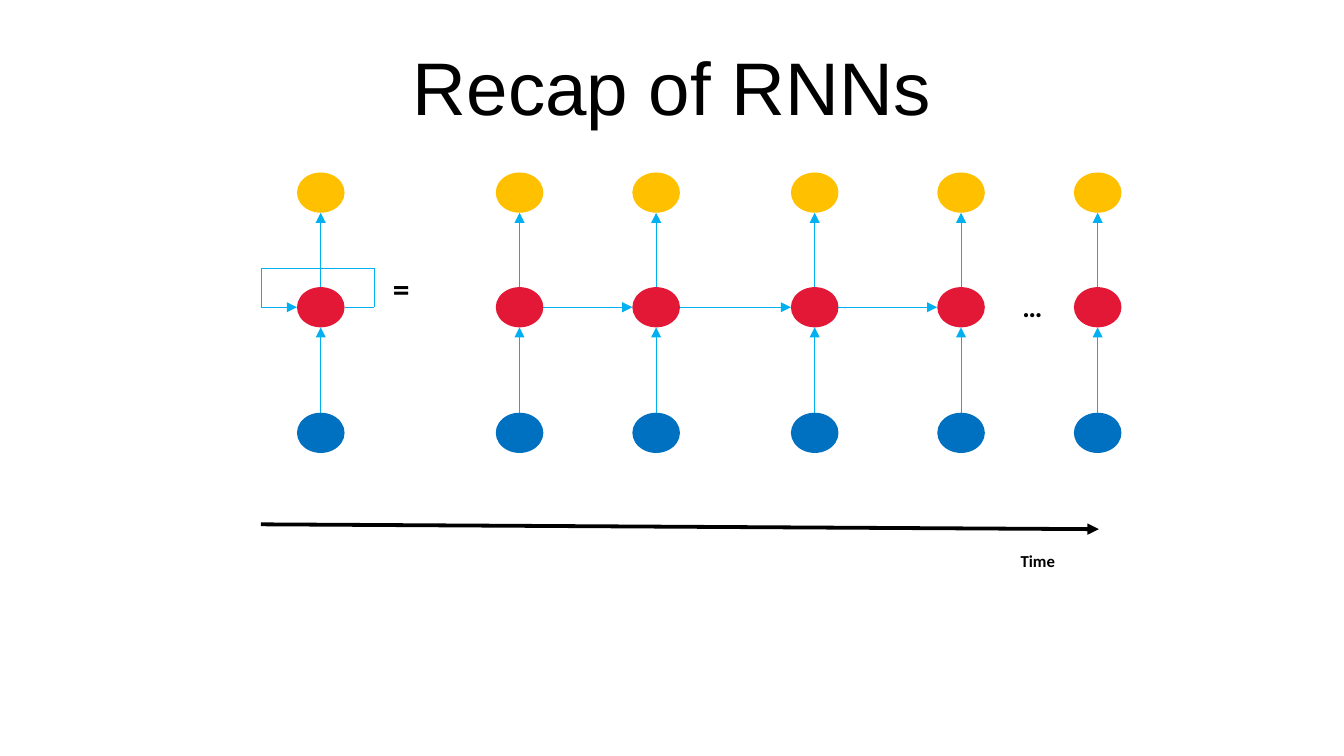
from lxml.etree import SubElement
from pptx import Presentation
from pptx.dml.color import RGBColor
from pptx.enum.shapes import MSO_CONNECTOR, MSO_SHAPE
from pptx.enum.text import MSO_ANCHOR, MSO_AUTO_SIZE, PP_ALIGN
from pptx.oxml.ns import qn
from pptx.util import Inches, Pt

BLACK = RGBColor(0x00, 0x00, 0x00)
BLUE = RGBColor(0x00, 0x70, 0xC0)
RED = RGBColor(0xE3, 0x18, 0x37)
YELLOW = RGBColor(0xFF, 0xC0, 0x00)
CYAN = RGBColor(0x00, 0xB0, 0xF0)

NODE_W, NODE_H = 0.39, 0.33
INPUT_Y, HIDDEN_Y, OUTPUT_Y = 3.55, 2.52, 1.58
FOLDED_X = 2.63
STEPS_X = [4.26, 5.38, 6.68, 7.88, 9]
LOOP_LEFT, LOOP_RIGHT, LOOP_TOP = 2.14, 3.07, 2.2


def add_node(s, x, y, color):
    sp = s.shapes.add_shape(
        MSO_SHAPE.OVAL, Inches(x - NODE_W / 2), Inches(y - NODE_H / 2),
        Inches(NODE_W), Inches(NODE_H))
    sp.shadow.inherit = False
    sp.fill.solid()
    sp.fill.fore_color.rgb = color
    sp.line.fill.background()


def add_line(s, x1, y1, x2, y2, color=CYAN, width=0.5, arrow=True):
    line = s.shapes.add_connector(
        MSO_CONNECTOR.STRAIGHT, Inches(x1), Inches(y1), Inches(x2), Inches(y2))
    line.line.color.rgb = color
    line.line.width = Pt(width)
    if arrow:
        SubElement(line.line._get_or_add_ln(), qn("a:tailEnd"), type="triangle")
    SubElement(line._element.spPr, qn("a:effectLst"))


def add_text(s, text, x, y, w, h, size, font="Calibri", bold=True,
             anchor=MSO_ANCHOR.TOP, fit=MSO_AUTO_SIZE.SHAPE_TO_FIT_TEXT):
    tf = s.shapes.add_textbox(Inches(x), Inches(y), Inches(w), Inches(h)).text_frame
    tf.word_wrap = True
    tf.auto_size = fit
    tf.vertical_anchor = anchor
    tf.margin_left = tf.margin_right = tf.margin_top = tf.margin_bottom = 0
    p = tf.paragraphs[0]
    p.alignment = PP_ALIGN.CENTER
    r = p.add_run()
    r.text = text
    r.font.name = font
    r.font.size = Pt(size)
    r.font.bold = bold
    r.font.color.rgb = BLACK


def add_cell(s, x):
    for y, color in ((INPUT_Y, BLUE), (HIDDEN_Y, RED), (OUTPUT_Y, YELLOW)):
        add_node(s, x, y, color)
    for start, end in ((INPUT_Y, HIDDEN_Y), (HIDDEN_Y, OUTPUT_Y)):
        add_line(s, x, start - NODE_H / 2, x, end + NODE_H / 2)


def add_loop(s):
    corners = [(FOLDED_X + NODE_W / 2, HIDDEN_Y), (LOOP_RIGHT, HIDDEN_Y),
               (LOOP_RIGHT, LOOP_TOP), (LOOP_LEFT, LOOP_TOP),
               (LOOP_LEFT, HIDDEN_Y), (FOLDED_X - NODE_W / 2, HIDDEN_Y)]
    for i, (start, end) in enumerate(zip(corners, corners[1:])):
        add_line(s, *start, *end, arrow=i == len(corners) - 2)


def main():
    prs = Presentation()
    prs.slide_width, prs.slide_height = Inches(11.02), Inches(6.2)
    s = prs.slides.add_slide(prs.slide_layouts[6])

    add_text(s, "Recap of RNNs", 0.55, 0.18, 9.92, 1.04, 44, "Arial", False,
             MSO_ANCHOR.MIDDLE, MSO_AUTO_SIZE.NONE)
    for x in [FOLDED_X] + STEPS_X:
        add_cell(s, x)
    add_loop(s)
    for x1, x2 in zip(STEPS_X[:-1], STEPS_X[1:-1]):
        add_line(s, x1 + NODE_W / 2, HIDDEN_Y, x2 - NODE_W / 2, HIDDEN_Y)
    add_text(s, "=", 2.91, 2.2, 0.76, 0.33, 19.8)
    add_text(s, "…", 8.23, 2.37, 0.47, 0.28, 16.6)
    add_line(s, LOOP_LEFT, 4.3, 9.01, 4.34, BLACK, 2.25)
    add_text(s, "Time", 8.21, 4.52, 0.6, 0.17, 9.9)

    prs.save("out.pptx")


if __name__ == "__main__":
    main()
